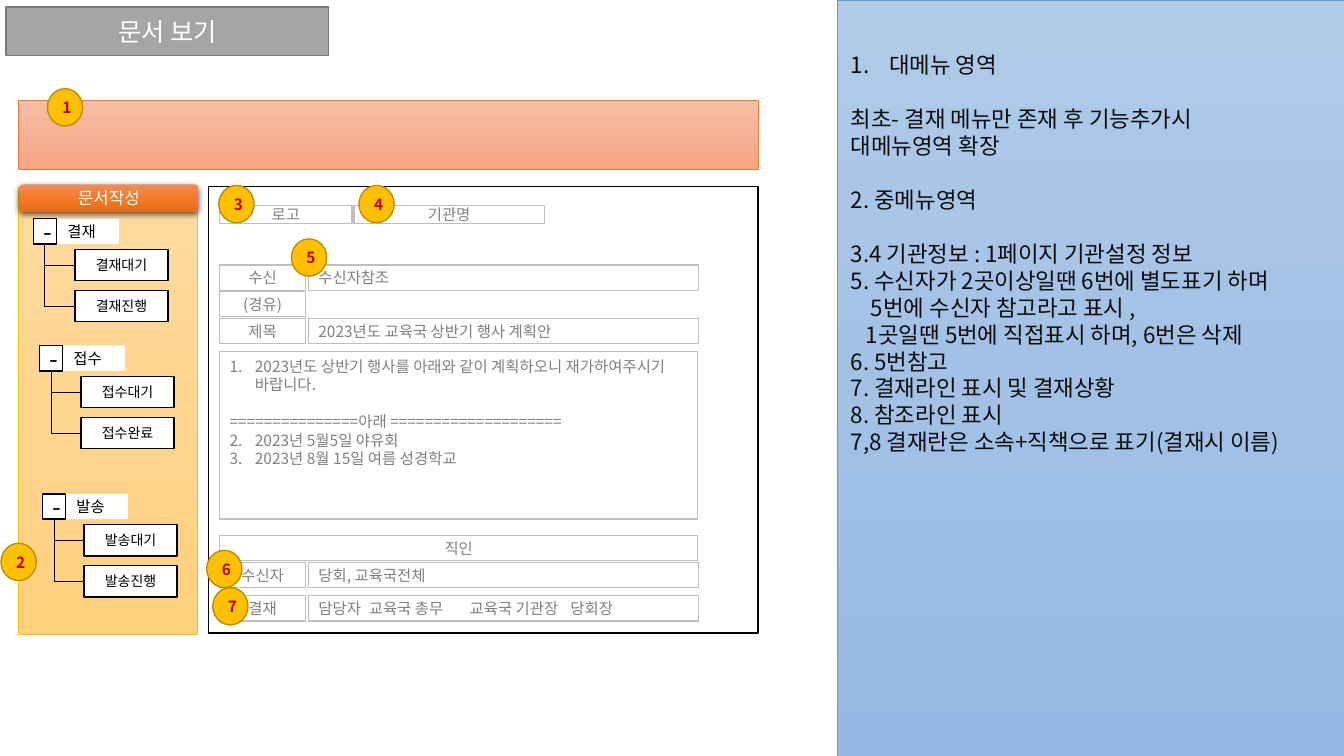
from copy import deepcopy

from lxml.etree import SubElement
from pptx import Presentation
from pptx.dml.color import RGBColor
from pptx.enum.shapes import MSO_CONNECTOR as Link, MSO_SHAPE as Form
from pptx.enum.text import MSO_ANCHOR as Anchor, PP_ALIGN as Align
from pptx.oxml.ns import qn
from pptx.util import Inches, Pt

FONT = "Noto Sans CJK KR"
BLACK, WHITE, GREY, RULE = "000000", "FFFFFF", "808080", "BFBFBF"
LINE_HEIGHT = 1.21


def color(code):
    return RGBColor.from_string(code)


def child(parent, tag, **attributes):
    return SubElement(parent, qn(tag), {k: str(v) for k, v in attributes.items()})


class Page:
    """A slide on a grid whose columns and rows are a tenth of an inch."""

    def __init__(self, deck):
        self.shapes = deck.slides.add_slide(deck.slide_layouts[6]).shapes

    def cells(self, *values):
        return [Inches(value / 10) for value in values]

    def box(self, at, fill=None, line=None, weight=1, form=Form.RECTANGLE):
        box = self.shapes.add_shape(form, *self.cells(*at))
        box.shadow.inherit = False
        if fill is None:
            box.fill.background()
        elif isinstance(fill, str):
            box.fill.solid()
            box.fill.fore_color.rgb = color(fill)
        else:
            self.gradient(box, fill)
        if line:
            box.line.color.rgb = color(line)
            box.line.width = Pt(weight)
        else:
            box.line.fill.background()
        return box

    def gradient(self, box, tones):
        box.fill.gradient()
        box.fill.gradient_angle = 270
        first = box._element.spPr.find(".//" + qn("a:gs"))
        first.addnext(deepcopy(first))
        for stop, place, tone in zip(box.fill.gradient_stops, (0, 0.5, 1), tones):
            stop.position = place
            stop.color.rgb = color(tone)

    def add_lines(self, box, lines, size, tone, align=Align.LEFT, bold=False,
                  anchor=Anchor.MIDDLE):
        """Each line is a text, or a text with its paragraph options."""
        frame = box.text_frame
        frame.word_wrap = True
        frame.vertical_anchor = anchor
        for index, line in enumerate(lines):
            text, options = (line, {}) if isinstance(line, str) else line
            para = frame.paragraphs[0] if index == 0 else frame.add_paragraph()
            para.alignment = align
            self.layout(para, size, **options)
            span = para.add_run()
            span.text = text
            span.font.size, span.font.bold = Pt(size), bold
            span.font.name = FONT
            span.font.color.rgb = color(tone)
            child(span.font._element, "a:ea", typeface=FONT)

    def layout(self, para, size, gap=0, left=0, hang=0, numbered=False, tabs=()):
        if gap:
            para.space_before = Pt(round(gap * size * LINE_HEIGHT, 1))
        props = para._p.get_or_add_pPr()
        props.set("marL", str(Inches(left + hang)))
        props.set("indent", str(-Inches(hang)))
        if numbered:
            child(props, "a:buFont", typeface="+mj-lt")
            child(props, "a:buAutoNum", type="arabicPeriod")
        else:
            child(props, "a:buNone")
        if tabs:
            stops = child(props, "a:tabLst")
            for stop in tabs:
                child(stops, "a:tab", pos=Inches(stop), algn="l")

    def label(self, at, text, size=11, tone=BLACK, align=Align.CENTER, bold=False, **look):
        box = self.box(at, **look)
        self.add_lines(box, [text], size, tone, align, bold)
        return box

    def field(self, at, text, align=Align.LEFT):
        return self.label(at, text, tone=GREY, align=align, line=RULE)

    def note(self, at, lines, size, tone):
        box = self.shapes.add_textbox(*self.cells(*at))
        self.add_lines(box, lines, size, tone, anchor=Anchor.TOP)

    def badge(self, number, left, top):
        self.label((left, top, 3.5, 3.7), str(number), tone="C00000", bold=True,
                   fill="FFC000", line="BD8E00", form=Form.OVAL)

    def branch(self, left, top, right, bottom):
        """An elbow that runs down first and then to the right."""
        wide, high = right - left, bottom - top
        middle, centre = (left + right) / 2, (top + bottom) / 2
        x, y, run, rise = self.cells(middle - high / 2, centre - wide / 2, high, wide)
        link = self.shapes.add_connector(Link.ELBOW, x + run, y, x, y + rise)
        link.line.color.rgb = color(BLACK)
        link.line.width = Pt(0.5)
        props = link._element.spPr
        props.find(qn("a:xfrm")).set("rot", "16200000")
        props.find(qn("a:prstGeom")).set("prst", "bentConnector2")
        child(props, "a:effectLst")

    def menu(self, left, top, title, items):
        self.label((left + 1.1, top, 7.4, 2.5), title, fill=WHITE)
        self.label((left, top, 2.3, 2.5), "-", size=18, fill=WHITE, line=BLACK)
        for index, item in enumerate(items):
            leaf = top + 3.05 + 4.07 * index
            self.branch(left + 1.15, top + 2.5, left + 4.15, leaf + 1.55)
            self.label((left + 4.15, leaf, 9.2, 3.1), item, size=10,
                       fill=WHITE, line=BLACK)

    def soft_shadow(self, box):
        effects = box._element.spPr.find(qn("a:effectLst"))
        shade = child(effects, "a:outerShdw", blurRad=Pt(4.5), dist=Pt(1.5),
                      dir=5400000, rotWithShape=0)
        child(child(shade, "a:srgbClr", val=BLACK), "a:alpha", val=63000)


def main():
    deck = Presentation()
    deck.slide_width, deck.slide_height = Inches(13.33), Inches(7.5)
    page = Page(deck)

    # Panels and title
    page.box((1.8, 18.6, 17.8, 44.3), ("FFDB9E", "FFD590", "FFD07C"), "FFC000", 0.5)
    page.box((83.1, 0, 50.2, 75), ("B1CBE9", "A3C1E5", "93B9E4"), "5B9BD5", 0.5)
    page.label((0.6, 0.7, 32, 4.8), "문서 보기", size=18, tone=WHITE,
               fill="A5A5A5", line="7A7A7A")
    page.box((1.8, 10, 73.4, 6.8), ("F7BDA5", "F5B196", "F8A582"), "ED7D31", 0.5)
    page.box((20.7, 18.5, 54.5, 44.3), WHITE, BLACK)

    # Description on the right
    page.note((83.4, 4.6, 49.1, 44.1), [
        ("대메뉴 영역", {"hang": 0.38, "numbered": True}),
        ("최초- 결재 메뉴만 존재 후 기능추가시", {"gap": 1}),
        "대메뉴영역 확장",
        ("2. 중메뉴영역", {"gap": 1}),
        ("3.4 기관정보 : 1페이지 기관설정 정보", {"gap": 1}),
        "5. 수신자가 2곳이상일땐 6번에 별도표기 하며",
        ("5번에 수신자 참고라고 표시 ,", {"left": 0.2}),
        ("1곳일땐 5번에 직접표시 하며, 6번은 삭제", {"left": 0.15}),
        "6. 5번참고",
        "7. 결재라인 표시 및 결재상황",
        "8. 참조라인 표시",
        "7,8 결재란은 소속+직책으로 표기(결재시 이름)",
    ], 16, "0D0D0D")

    # Menu tree
    page.menu(3.3, 21.7, "결재", ("결재대기", "결재진행"))
    page.menu(3.9, 34.3, "접수", ("접수대기", "접수완료"))
    page.menu(4.2, 49, "발송", ("발송대기", "발송진행"))
    compose = page.label((1.9, 18.3, 17.8, 2.7), "문서작성", size=12, tone=WHITE,
                         fill=("F18C57", "F67B28", "E56C19"),
                         form=Form.ROUNDED_RECTANGLE)
    page.soft_shadow(compose)

    # Document form
    page.field((21.8, 20.4, 13.1, 1.8), "로고", Align.CENTER)
    page.field((35.1, 20.4, 18.9, 1.8), "기관명", Align.CENTER)
    approvers = ("담당자\t교육국 총무\t교육국 기관장\t당회장", {"tabs": (0.6, 1.47, 2.66)})
    for top, name, value in (
        (26.3, "수신", "수신자참조"),
        (28.9, "(경유)", None),
        (31.6, "제목", "2023년도 교육국 상반기 행사 계획안"),
        (55.8, "수신자", "당회, 교육국전체"),
        (59.1, "결재", approvers),
    ):
        page.field((21.8, top, 8.5, 2.5), name, Align.CENTER)
        if value:
            page.field((30.6, top, 38.7, 2.5), value)
    page.field((21.8, 53.1, 47.4, 2.5), "직인", Align.CENTER)
    body = page.box((21.8, 34.9, 47.4, 16.6), line=RULE)
    item = {"hang": 0.25, "numbered": True}
    page.add_lines(body, [
        ("2023년도 상반기 행사를 아래와 같이 계획하오니 재가하여주시기 바랍니다.", item),
        ("===============아래 ====================", {"gap": 1}),
        ("2023년 5월5일 야유회", item),
        ("2023년 8월 15일 여름 성경학교", item),
    ], 11, GREY, anchor=Anchor.TOP)

    # Numbered badges
    spots = ((4.7, 8.8), (0.1, 53.9), (21.7, 18.4), (35.6, 18.4), (28.9, 23.7),
             (20.5, 54.6), (21.1, 58.3))
    for number, spot in enumerate(spots, 1):
        page.badge(number, *spot)

    deck.save("out.pptx")


if __name__ == "__main__":
    main()
